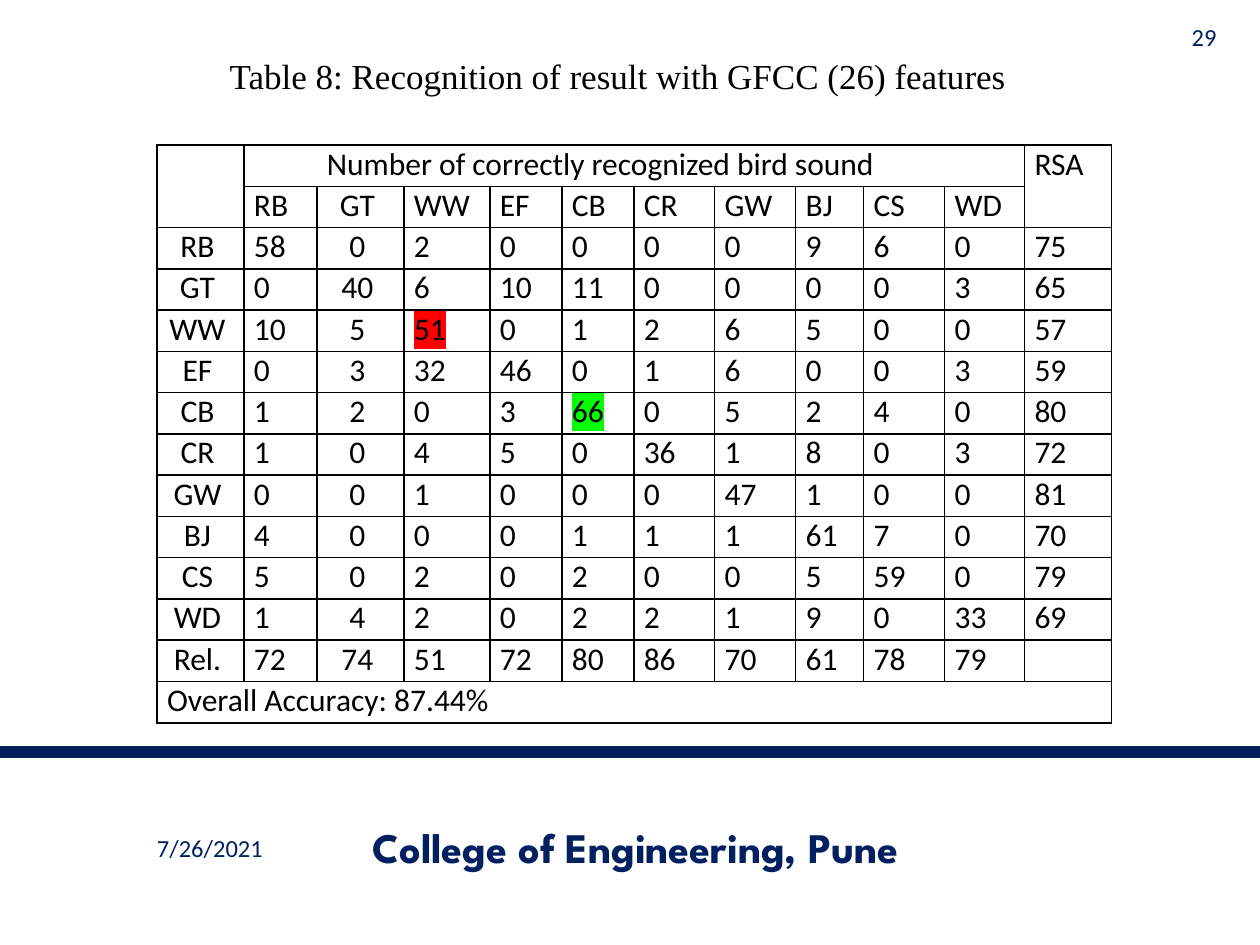
"""Build the slide with the bird sound recognition table."""
from lxml.etree import SubElement
from pptx import Presentation
from pptx.dml.color import RGBColor
from pptx.enum.shapes import MSO_CONNECTOR
from pptx.enum.text import MSO_ANCHOR, PP_ALIGN
from pptx.oxml.ns import qn
from pptx.util import Pt

EMU_PER_PX = 7257.6
COLORS = {"navy": "002060", "black": "000000", "red": "FF0000", "green": "00FF00"}

TEXTS = [
    ("7/26/2021", (63, 823, 294, 50), PP_ALIGN.CENTER, MSO_ANCHOR.MIDDLE, "Calibri", 14, "navy", False),
    ("College of Engineering, Pune", (305, 822, 661, 50), PP_ALIGN.CENTER, MSO_ANCHOR.MIDDLE,
     "League Spartan", 24, "navy", True),
    ("29", (1166, 19, 63, 35), PP_ALIGN.RIGHT, MSO_ANCHOR.MIDDLE, "Calibri", 14, "navy", False),
    ("Table 8: Recognition of result with GFCC (26) features", (67, 48, 1102, 97), PP_ALIGN.CENTER,
     MSO_ANCHOR.TOP, "Times New Roman", 20, "black", False),
]

BIRDS = ["RB", "GT", "WW", "EF", "CB", "CR", "GW", "BJ", "CS", "WD"]
COUNTS = [
    (58, 0, 2, 0, 0, 0, 0, 9, 6, 0, 75),
    (0, 40, 6, 10, 11, 0, 0, 0, 0, 3, 65),
    (10, 5, 51, 0, 1, 2, 6, 5, 0, 0, 57),
    (0, 3, 32, 46, 0, 1, 6, 0, 0, 3, 59),
    (1, 2, 0, 3, 66, 0, 5, 2, 4, 0, 80),
    (1, 0, 4, 5, 0, 36, 1, 8, 0, 3, 72),
    (0, 0, 1, 0, 0, 0, 47, 1, 0, 0, 81),
    (4, 0, 0, 0, 1, 1, 1, 61, 7, 0, 70),
    (5, 0, 2, 0, 2, 0, 0, 5, 59, 0, 79),
    (1, 4, 2, 0, 2, 2, 1, 9, 0, 33, 69),
]
RELIABILITY = (72, 74, 51, 72, 80, 86, 70, 61, 78, 79, "")
ROWS = [
    ["", "Number of correctly recognized bird sound"] + [""] * 9 + ["RSA"],
    ["", *BIRDS, ""],
    *[[bird, *counts] for bird, counts in zip(BIRDS, COUNTS)],
    ["Rel.", *RELIABILITY],
    ["Overall Accuracy: 87.44%"] + [""] * 11,
]
MERGES = [((0, 0), (1, 0)), ((0, 1), (0, 10)), ((0, 11), (1, 11)), ((13, 0), (13, 11))]
HIGHLIGHTS = {(4, 3): "red", (6, 5): "green"}
TABLE_BOX = (157, 145, 955, 578)
COL_WIDTHS = [87, 73, 87, 86, 72, 72, 81, 81, 68, 81, 80, 87]
CENTERED_COLS = (0, 2)
RIGHT_INDENT = 6
LEFT_INDENT = 10
TITLE_INDENT = 83


def px(n):
    return round(n * EMU_PER_PX)


def rgb(name):
    return RGBColor.from_string(COLORS[name])


def set_font(p, name, size, color, bold=False):
    p.font.name, p.font.size, p.font.bold = name, Pt(size), bold
    p.font.color.rgb = rgb(color)


def add_color(parent, tag, color):
    SubElement(SubElement(parent, qn(tag)), qn("a:srgbClr")).set("val", COLORS[color])


def add_text(slide, text, box, align, anchor, font, size, color, bold):
    tf = slide.shapes.add_textbox(*map(px, box)).text_frame
    tf.word_wrap = True
    tf.vertical_anchor = anchor
    p = tf.paragraphs[0]
    p.text, p.alignment = text, align
    set_font(p, font, size, color, bold)


def add_rule(slide):
    line = slide.shapes.add_connector(MSO_CONNECTOR.STRAIGHT, 0, px(752), px(1260), px(752))
    line.line.color.rgb = rgb("navy")
    line.line.width = Pt(6.5)
    SubElement(line._element.spPr, qn("a:effectLst"))


def style_cell(cell):
    cell.margin_left = cell.margin_right = cell.margin_top = cell.margin_bottom = 0
    tc_pr = cell._tc.get_or_add_tcPr()
    for side in ("a:lnL", "a:lnR", "a:lnT", "a:lnB"):
        ln = SubElement(tc_pr, qn(side))
        ln.set("w", str(Pt(1)))
        add_color(ln, "a:solidFill", "black")
    cell.fill.background()


def fill_cell(cell, row, col, value):
    p = cell.text_frame.paragraphs[0]
    p_pr = p._p.get_or_add_pPr()
    if col in CENTERED_COLS and row < len(ROWS) - 1:
        p.alignment = PP_ALIGN.CENTER
        p_pr.set("marR", str(px(RIGHT_INDENT)))
    else:
        p_pr.set("marL", str(px(TITLE_INDENT if (row, col) == (0, 1) else LEFT_INDENT)))
    set_font(p, "Calibri", 18, "black")
    if value != "":
        r = p.add_run()
        r.text = str(value)
        if (row, col) in HIGHLIGHTS:
            add_color(r._r.get_or_add_rPr(), "a:highlight", HIGHLIGHTS[row, col])


def add_result_table(slide):
    table = slide.shapes.add_table(len(ROWS), len(COL_WIDTHS), *map(px, TABLE_BOX)).table
    table.first_row = table.horz_banding = False
    for column, width in zip(table.columns, COL_WIDTHS):
        column.width = px(width)
    for i, values in enumerate(ROWS):
        table.rows[i].height = px(TABLE_BOX[3]) // len(ROWS)
        for j, value in enumerate(values):
            style_cell(table.cell(i, j))
            fill_cell(table.cell(i, j), i, j, value)
    for start, end in MERGES:
        table.cell(*start).merge(table.cell(*end))


def main():
    prs = Presentation()
    prs.slide_width, prs.slide_height = px(1260), px(945)
    s = prs.slides.add_slide(prs.slide_layouts[6])
    add_rule(s)
    for spec_row in TEXTS:
        add_text(s, *spec_row)
    add_result_table(s)
    prs.save("out.pptx")


if __name__ == "__main__":
    main()
